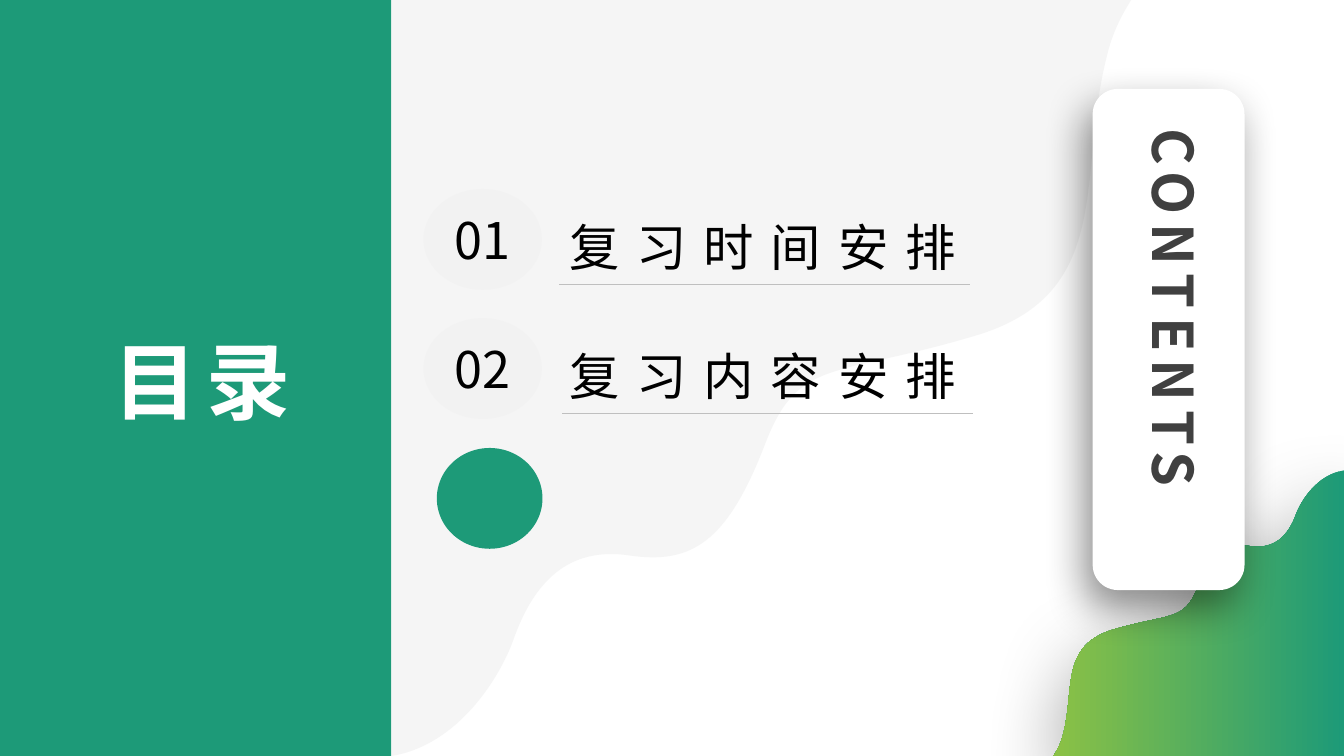
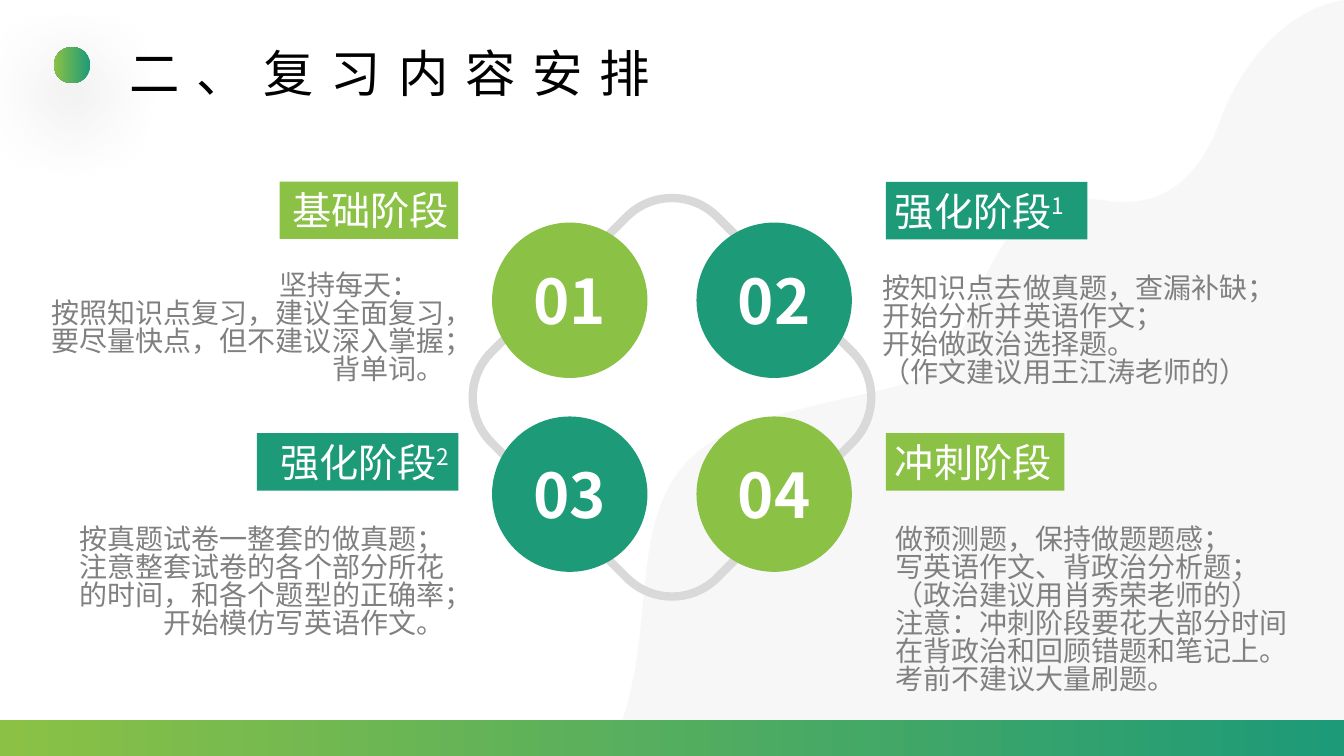
from dataclasses import dataclass

from lxml.etree import SubElement
from pptx import Presentation
from pptx.dml.color import RGBColor
from pptx.enum.shapes import MSO_CONNECTOR, MSO_SHAPE
from pptx.enum.text import MSO_ANCHOR, MSO_AUTO_SIZE, PP_ALIGN
from pptx.oxml.ns import qn
from pptx.shapes.autoshape import Shape
from pptx.slide import Slide
from pptx.util import Pt

TEAL = RGBColor(0x1D, 0x9A, 0x78)
LIME = RGBColor(0x8B, 0xC1, 0x45)
WHITE = RGBColor(0xFF, 0xFF, 0xFF)
BLACK = RGBColor(0, 0, 0)
PALE = RGBColor(0xF2, 0xF2, 0xF2)
RING = RGBColor(0xD9, 0xD9, 0xD9)
RULE = RGBColor(0xBF, 0xBF, 0xBF)
BODY = RGBColor(0x80, 0x80, 0x80)
DARK = RGBColor(0x40, 0x40, 0x40)

FONT = "Noto Sans CJK SC"
PAGE_WIDTH, PAGE_HEIGHT = 960, 540
WAVE_WIDTH, WAVE_HEIGHT = 528.5, 540
# The first two points are joined by a line; each later three make a cubic curve.
WAVE_POINTS = (
    (528.5, 540), (528.5, 0),
    (480.2, 7.9), (450.7, 56.9), (441.4, 82.8),
    (427, 123.8), (402.5, 149.8), (358.6, 143.3),
    (314.6, 136.8), (288.7, 151.9), (261.4, 223.2),
    (237.6, 285.1), (212.4, 270), (111.6, 300.2),
    (11.5, 329.8), (38.9, 413.3), (18, 497.5),
    (14.4, 514.1), (7.9, 527.8), (0, 540),
)


@dataclass(frozen=True)
class Box:
    left: float
    top: float
    width: float
    height: float

    def emu(self) -> tuple[Pt, Pt, Pt, Pt]:
        return Pt(self.left), Pt(self.top), Pt(self.width), Pt(self.height)


@dataclass(frozen=True)
class Style:
    size: float
    colour: RGBColor
    bold: bool = False
    tracking: float = 0
    align: PP_ALIGN = PP_ALIGN.LEFT
    spacing: float | Pt | None = None


@dataclass(frozen=True)
class Shadow:
    opacity: int
    blur: float
    distance: float
    angle: int


@dataclass(frozen=True)
class Entry:
    number: str
    title: str
    rule_start: float
    rule_end: float


@dataclass(frozen=True)
class Stage:
    number: str
    title: str
    colour: RGBColor
    align: PP_ALIGN
    label: Box
    body: Box
    lines: tuple[str, ...]
    first_indent: float = 0
    superscript: str = ""


HEADING = Style(36, BLACK, tracking=12, spacing=1.2)
ENTRY_NUMBER = Style(36, BLACK, align=PP_ALIGN.CENTER)
STAGE_NUMBER = Style(44, WHITE, bold=True, align=PP_ALIGN.CENTER)
SIDE_TITLE = Style(60, WHITE, bold=True, tracking=6, align=PP_ALIGN.CENTER)
CARD_TITLE = Style(40, DARK, bold=True, tracking=6, align=PP_ALIGN.CENTER)
SOFT_SHADOW = Shadow(40, 60, 20, 90)
CARD_SHADOW = Shadow(45, 30, 14, 115)

ENTRIES = (
    Entry("01", "复习时间安排", 399.5, 693),
    Entry("02", "复习内容安排", 401.5, 695),
)
STAGES = (
    Stage("01", "基础阶段", LIME, PP_ALIGN.RIGHT, Box(199.75, 129.75, 127.5, 41),
          Box(20.5, 191.5, 304, 88),
          ("坚持每天：", "按照知识点复习，建议全面复习，要尽量快点，但不建议深入掌握；", "背单词。"),
          first_indent=172),
    Stage("02", "强化阶段", TEAL, PP_ALIGN.LEFT, Box(632.75, 130, 144, 41),
          Box(623.5, 193.5, 298, 88),
          ("按知识点去做真题，查漏补缺；\v开始分析并英语作文；", "开始做政治选择题。",
           "（作文建议用王江涛老师的）"), superscript="1"),
    Stage("03", "强化阶段", TEAL, PP_ALIGN.RIGHT, Box(183.5, 309.5, 144, 41),
          Box(38.5, 373, 286, 88),
          ("按真题试卷一整套的做真题；\v注意整套试卷的各个部分所花的时间，和各个题型的正确率；",
           "开始模仿写英语作文。"), superscript="2"),
    Stage("04", "冲刺阶段", LIME, PP_ALIGN.LEFT, Box(632.75, 309.5, 127.5, 41),
          Box(632.5, 373, 299, 128),
          ("做预测题，保持做题题感；\v写英语作文、背政治分析题；\v（政治建议用肖秀荣老师的）\v"
           "注意：冲刺阶段要花大部分时间在背政治和回顾错题和笔记上。",
           "考前不建议大量刷题。")),
)


def paint(shape: Shape, colour: RGBColor | None, opacity: int = 100) -> None:
    """Give a shape a plain fill, or a teal to lime gradient when colour is None."""
    shape.shadow.inherit = False
    shape.line.fill.background()
    if colour is None:
        shape.fill.gradient()
        shape.fill.gradient_angle = 180
        for stop, stop_colour in zip(shape.fill.gradient_stops, (TEAL, LIME)):
            stop.color.rgb = stop_colour
        return
    shape.fill.solid()
    shape.fill.fore_color.rgb = colour
    if opacity < 100:
        colour_node = shape._element.spPr.find(".//" + qn("a:srgbClr"))
        SubElement(colour_node, qn("a:alpha"), val=str(opacity * 1000))


def cast_shadow(shape: Shape, shadow: Shadow) -> None:
    effects = shape._element.spPr.find(qn("a:effectLst"))
    outer = SubElement(effects, qn("a:outerShdw"), blurRad=str(Pt(shadow.blur)),
                       dist=str(Pt(shadow.distance)), dir=str(shadow.angle * 60000),
                       algn="ctr", rotWithShape="0")
    colour_node = SubElement(outer, qn("a:srgbClr"), val=str(BLACK))
    SubElement(colour_node, qn("a:alpha"), val=str(shadow.opacity * 1000))


def add_shape(page: Slide, kind: MSO_SHAPE, box: Box, colour: RGBColor | None) -> Shape:
    shape = page.shapes.add_shape(kind, *box.emu())
    paint(shape, colour)
    return shape


def write(shape: Shape, lines: tuple[str, ...], style: Style,
          insets: tuple[float, float] = (7.2, 7.2), centred: bool = False) -> None:
    """Fill a shape with one paragraph a line; insets are left and right."""
    frame = shape.text_frame
    frame.word_wrap = True
    frame.margin_left, frame.margin_right = (Pt(inset) for inset in insets)
    frame.vertical_anchor = MSO_ANCHOR.MIDDLE if centred else MSO_ANCHOR.TOP
    if centred:
        frame.margin_top = frame.margin_bottom = 0
    for index, line in enumerate(lines):
        para = frame.add_paragraph() if index else frame.paragraphs[0]
        para.text = line
        para.alignment = style.align
        if style.spacing:
            para.line_spacing = style.spacing
        font = para.font
        font.name, font.size, font.bold = FONT, Pt(style.size), style.bold
        font.color.rgb = style.colour
        defaults = para._p.pPr.find(qn("a:defRPr"))
        SubElement(defaults, qn("a:ea"), typeface=FONT)
        if style.tracking:
            defaults.set("spc", str(int(style.tracking * 100)))


def add_text(page: Slide, box: Box, lines: tuple[str, ...], style: Style,
             insets: tuple[float, float] = (7.2, 7.2), centred: bool = False) -> Shape:
    text_box = page.shapes.add_textbox(*box.emu())
    write(text_box, lines, style, insets, centred)
    return text_box


def curve_segments(shape: Shape) -> None:
    """Turn every three line segments after the first into one cubic curve."""
    outline = shape._element.spPr.find(".//" + qn("a:path"))
    segments = outline.findall(qn("a:lnTo"))[1:]
    for start in range(0, len(segments), 3):
        curve = SubElement(outline, qn("a:cubicBezTo"))
        segments[start].addprevious(curve)
        for segment in segments[start:start + 3]:
            curve.append(segment.find(qn("a:pt")))
            outline.remove(segment)


def add_wave(page: Slide, box: Box, colour: RGBColor | None, opacity: int = 100) -> Shape:
    points = [(Pt(box.left + x * box.width / WAVE_WIDTH),
               Pt(box.top + y * box.height / WAVE_HEIGHT)) for x, y in WAVE_POINTS]
    builder = page.shapes.build_freeform(*points[0])
    builder.add_line_segments(points[1:], close=True)
    wave = builder.convert_to_shape()
    curve_segments(wave)
    paint(wave, colour, opacity)
    return wave


def add_rule(page: Slide, start: float, end: float, y: float) -> None:
    rule = page.shapes.add_connector(MSO_CONNECTOR.STRAIGHT, Pt(start), Pt(y), Pt(end), Pt(y))
    rule.line.color.rgb = RULE
    rule.line.width = Pt(0.25)
    SubElement(rule._element.spPr, qn("a:effectLst"))


def build_contents(page: Slide) -> None:
    backdrop = add_wave(page, Box(279.5, 0, WAVE_WIDTH, WAVE_HEIGHT), PALE, 75)
    backdrop.rotation = 180
    corner = add_wave(page, Box(752.5, 336, 207.5, 204), None)
    cast_shadow(corner, SOFT_SHADOW)
    add_shape(page, MSO_SHAPE.RECTANGLE, Box(0, 0, 279.5, PAGE_HEIGHT), TEAL)

    card = add_shape(page, MSO_SHAPE.ROUNDED_RECTANGLE, Box(780.5, 63.5, 108.5, 358), WHITE)
    cast_shadow(card, CARD_SHADOW)
    card_text = add_text(page, Box(804, 85, 63, 327), ("CONTENTS",), CARD_TITLE)
    card_text.text_frame.auto_size = MSO_AUTO_SIZE.SHAPE_TO_FIT_TEXT
    card_text.text_frame._txBody.bodyPr.set("vert", "eaVert")

    for row, entry in enumerate(ENTRIES):
        top = 135 + 92.25 * row
        bubble = add_shape(page, MSO_SHAPE.OVAL, Box(302.5, top, 84.5, 72), PALE)
        write(bubble, (entry.number,), ENTRY_NUMBER, centred=True)
        add_text(page, Box(399.75, top + 7, 362, 40), (entry.title,), HEADING)
        add_rule(page, entry.rule_start, entry.rule_end, top + 68)
    add_shape(page, MSO_SHAPE.OVAL, Box(312, 320, 75.5, 72), TEAL)
    add_text(page, Box(55.5, 235, 169, 72.5), ("目录",), SIDE_TITLE, (8.64, 0), centred=True)


def add_stage(page: Slide, stage: Stage, circle: Box) -> None:
    add_shape(page, MSO_SHAPE.OVAL, circle, stage.colour)
    number_box = Box(circle.left + 22, circle.top + 25, 67, 60.5)
    add_text(page, number_box, (stage.number,), STAGE_NUMBER, (0, 0), centred=True)

    label = add_shape(page, MSO_SHAPE.RECTANGLE, stage.label, stage.colour)
    insets = (0, 6.5) if stage.align == PP_ALIGN.RIGHT else (6.5, 0)
    write(label, (stage.title,), Style(28, WHITE, align=stage.align), insets, centred=True)
    if stage.superscript:
        span = label.text_frame.paragraphs[0].add_run()
        span.text = stage.superscript
        span._r.get_or_add_rPr().set("baseline", "30000")

    body = add_text(page, stage.body, stage.lines,
                    Style(20, BODY, align=stage.align, spacing=Pt(20)))
    if stage.first_indent:
        first = body.text_frame.paragraphs[0]
        first.alignment = PP_ALIGN.LEFT
        first._p.pPr.set("marL", str(Pt(stage.first_indent)))


def build_stages(page: Slide) -> None:
    add_wave(page, Box(431.5, 0, WAVE_WIDTH, WAVE_HEIGHT), PALE, 55)
    marker = add_shape(page, MSO_SHAPE.OVAL, Box(38.5, 33.5, 26, 26), None)
    cast_shadow(marker, SOFT_SHADOW)
    add_shape(page, MSO_SHAPE.RECTANGLE, Box(0, 514, PAGE_WIDTH, 26), None)
    add_text(page, Box(85.5, 18, 412, 60), ("二、复习内容安排",), HEADING)

    ring = add_shape(page, MSO_SHAPE.ROUNDED_RECTANGLE, Box(366, 169.75, 228, 228), WHITE)
    ring.fill.background()
    ring.adjustments[0] = 0.2
    ring.rotation = 315
    ring.line.color.rgb = RING
    ring.line.width = Pt(6)

    for index, stage in enumerate(STAGES):
        row, column = divmod(index, 2)
        add_stage(page, stage, Box(351.5 + 146 * column, 159 + 138.5 * row, 111, 111))


def main() -> None:
    deck = Presentation()
    deck.slide_width, deck.slide_height = Pt(PAGE_WIDTH), Pt(PAGE_HEIGHT)
    for build in (build_contents, build_stages):
        build(deck.slides.add_slide(deck.slide_layouts[6]))
    deck.save("out.pptx")


if __name__ == "__main__":
    main()
